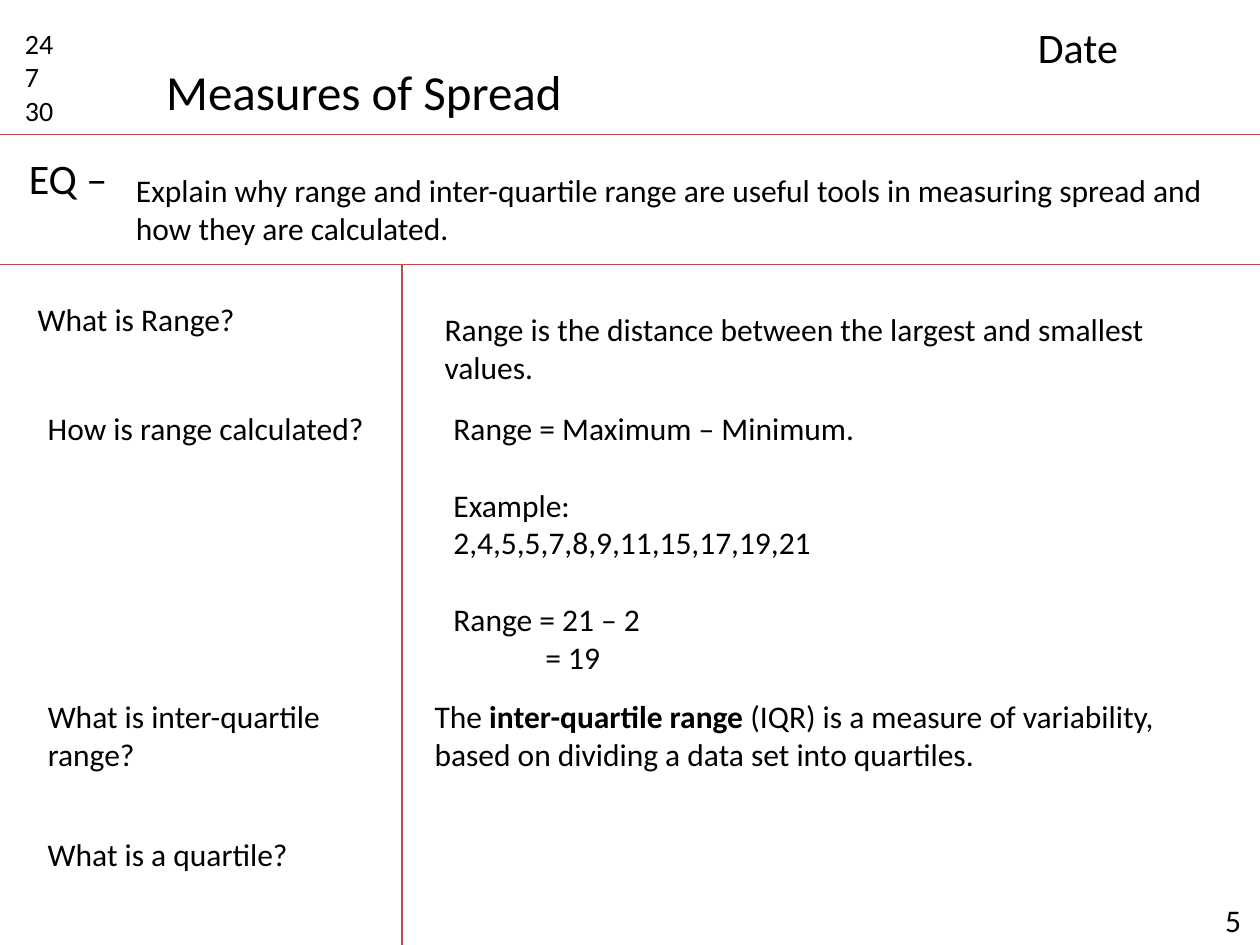
import pptx
import pptx.util
import pptx.dml.color
import pptx.enum.shapes
import pptx.enum.text
import pptx.oxml
from collections import namedtuple

Pt = pptx.util.Pt
Box = namedtuple("Box", "left top width height")

COLORS = {"text": "000000", "rule": "BF4C48"}
LINE_HEIGHT = 22  # one line of 18 pt text
EQUALS_INDENT = 52.6
DIVIDER = 229.7


def rgb(name):
    return pptx.dml.color.RGBColor.from_string(COLORS[name])


def place(shape, region, offset):
    """Put a shape at an offset box measured from the region's corner."""
    frame = {
        "left": region.left + offset[0],
        "top": region.top + offset[1],
        "width": offset[2],
        "height": offset[3],
    }
    for side, length in frame.items():
        setattr(shape, side, Pt(length))


def style(font, size, bold=False):
    values = {"name": "Calibri", "size": Pt(size), "bold": bold}
    for attribute, value in values.items():
        setattr(font, attribute, value)
    font.color.rgb = rgb("text")


def write(shape, lines, size):
    """Fill a shape; each line is a string or a list of (text, bold) runs."""
    frame = shape.text_frame
    settings = {
        "word_wrap": True,
        "auto_size": pptx.enum.text.MSO_AUTO_SIZE.SHAPE_TO_FIT_TEXT,
        "vertical_anchor": pptx.enum.text.MSO_ANCHOR.TOP,
    }
    for attribute, value in settings.items():
        setattr(frame, attribute, value)
    for index, line in enumerate(lines):
        paragraph = frame.add_paragraph() if index else frame.paragraphs[0]
        paragraph.alignment = pptx.enum.text.PP_ALIGN.LEFT
        for text, bold in [(line, False)] if isinstance(line, str) else line:
            run = paragraph.add_run()
            run.text = text
            style(run.font, size, bold)
    return frame


def add_text(slide, region, offset, *lines, size=18):
    textbox = slide.shapes.add_textbox(0, 0, 0, 0)
    place(textbox, region, offset)
    return write(textbox, lines, size)


def add_rule(slide, x1, y1, x2, y2):
    rule = slide.shapes.add_connector(
        pptx.enum.shapes.MSO_CONNECTOR.STRAIGHT, Pt(x1), Pt(y1), Pt(x2), Pt(y2)
    )
    rule.line.color.rgb = rgb("rule")
    rule.line.width = Pt(0.75)
    effects = pptx.oxml.parse_xml(
        '<a:effectLst xmlns:a="http://schemas.openxmlformats.org/drawingml/2006/main"/>'
    )
    rule.element.spPr.append(effects)


def add_bottom_rule(slide, region):
    bottom = region.top + region.height
    add_rule(slide, region.left, bottom, region.left + region.width, bottom)


def add_header(slide, region):
    add_bottom_rule(slide, region)
    add_text(slide, region, (7.2, 11.5, 45.4, 65.5), "24", "7", "30", size=16)
    title = slide.shapes.title
    place(title, region, (87.8, 31.7, 243.4, 41))
    write(title, ["Measures of Spread"], 28).word_wrap = False
    add_text(slide, region, (586, 8.6, 124.6, 36), "Date", size=24)


def add_essential_question(slide, region):
    add_bottom_rule(slide, region)
    add_text(slide, region, (9.4, 6.5, 679, 36), "EQ –", size=24)
    add_text(
        slide, region, (70.6, 17.3, 635, 51),
        "Explain why range and inter-quartile range are useful tools in "
        "measuring spread and how they are calculated.",
    )


def add_questions(slide, region):
    questions = [
        ((14.4, 16.6, 170, 29), "What is Range?"),
        ((20.2, 79.2, 199, 29), "How is range calculated?"),
        ((20.2, 243.4, 181.4, 51), "What is inter-quartile range?"),
        ((20.2, 322.6, 187.2, 29), "What is a quartile?"),
    ]
    for offset, question in questions:
        add_text(slide, region, offset, question)


def add_answers(slide, region):
    add_rule(slide, region.left, region.top, region.left, region.top + region.height)
    add_text(
        slide, region, (17.3, 22.3, 430.6, 51),
        "Range is the distance between the largest and smallest values.",
    )
    calculation = add_text(
        slide, region, (22.3, 79.2, 396.7, 160),
        "Range = Maximum – Minimum.",
        "Example:",
        "2,4,5,5,7,8,9,11,15,17,19,21",
        "Range = 21 – 2",
        "= 19",
    ).paragraphs
    for step in (calculation[1], calculation[3]):
        step.space_before = Pt(LINE_HEIGHT)
    calculation[4]._p.get_or_add_pPr().set("marL", str(Pt(EQUALS_INDENT)))
    add_text(
        slide, region, (11.5, 243.4, 447.8, 51),
        [
            ("The\u00a0", False),
            ("inter-quartile range", True),
            (" (IQR) is a measure of variability, based on dividing "
             "a data set into quartiles.", False),
        ],
    )
    add_text(slide, region, (463.3, 360, 40, 29), "5")


def main():
    deck = pptx.Presentation()
    deck.slide_width, deck.slide_height = Pt(720), Pt(540)
    slide = deck.slides.add_slide(deck.slide_layouts[5])
    add_header(slide, Box(0, 0, 720, 77))
    add_essential_question(slide, Box(0, 77, 720, 74.2))
    add_questions(slide, Box(0, 151.2, DIVIDER, 388.8))
    add_answers(slide, Box(DIVIDER, 151.2, 720 - DIVIDER, 388.8))
    deck.save("out.pptx")


if __name__ == "__main__":
    main()
